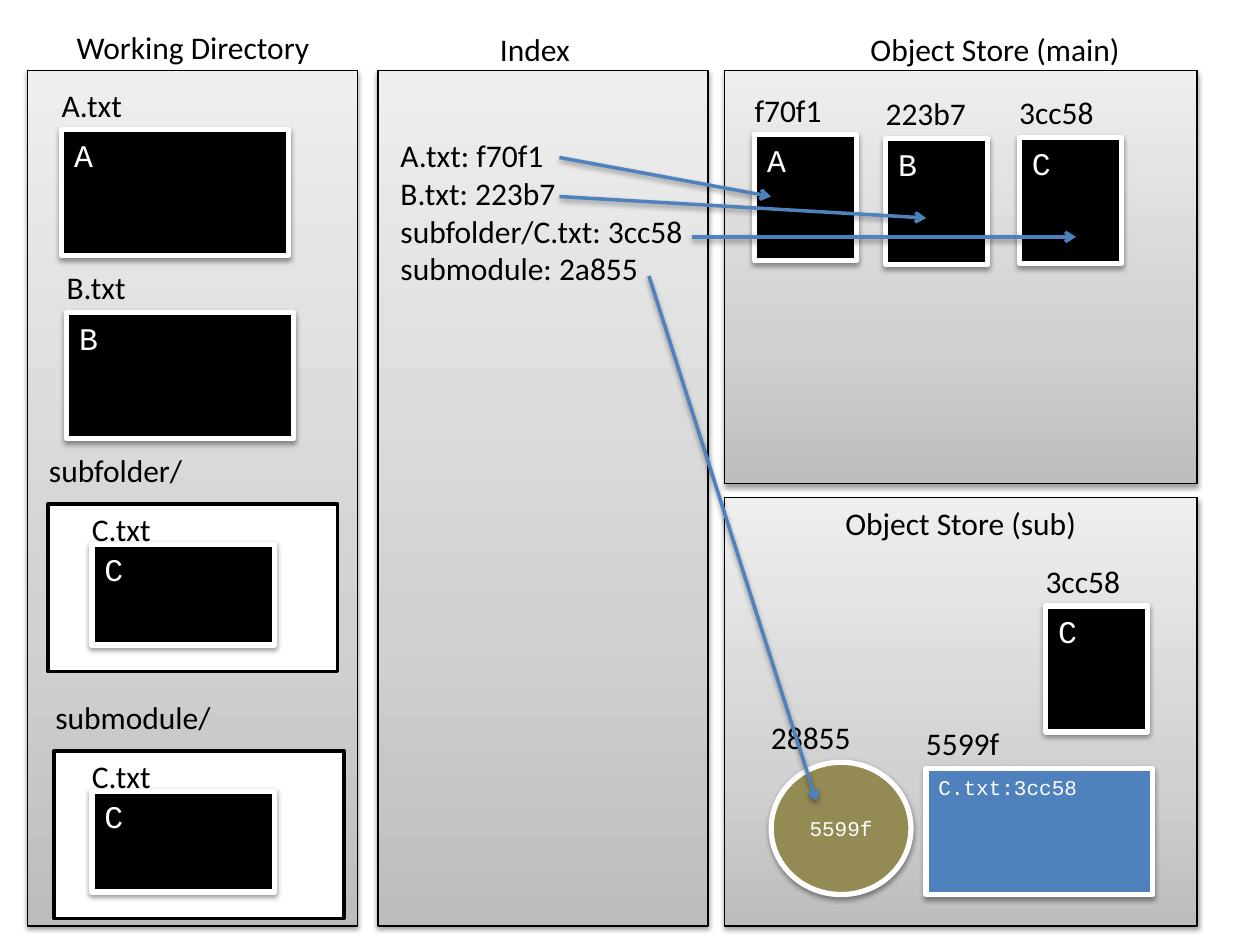
from copy import deepcopy

from lxml import etree
from pptx import Presentation
from pptx.dml.color import RGBColor
from pptx.enum.shapes import MSO_CONNECTOR, MSO_SHAPE
from pptx.enum.text import MSO_ANCHOR, PP_ALIGN
from pptx.oxml.ns import qn
from pptx.util import Inches, Pt

RECT, OVAL = MSO_SHAPE.RECTANGLE, MSO_SHAPE.OVAL
STRAIGHT = MSO_CONNECTOR.STRAIGHT
TOP, MIDDLE = MSO_ANCHOR.TOP, MSO_ANCHOR.MIDDLE
LEFT, CENTER = PP_ALIGN.LEFT, PP_ALIGN.CENTER
BLACK, WHITE, BLUE, OLIVE = "000000", "FFFFFF", "4F81BD", "948A54"
rgb = RGBColor.from_string


def add_text(sp, lines, size=18, font="Calibri", color=BLACK, align=LEFT, anchor=TOP, wrap=False):
    tf = sp.text_frame
    tf.word_wrap = wrap
    tf.vertical_anchor = anchor
    for i, line in enumerate(lines):
        p = tf.add_paragraph() if i else tf.paragraphs[0]
        p.alignment = align
        r = p.add_run()
        r.text = line
        r.font.size = Pt(size)
        r.font.name = font
        r.font.color.rgb = rgb(color)


def add_shadow(sp):
    effects = etree.SubElement(sp._element.spPr, qn("a:effectLst"))
    shadow = etree.SubElement(effects, qn("a:outerShdw"), blurRad=str(Pt(3.1)),
                              dist=str(Pt(1.6)), dir="5400000", rotWithShape="0")
    color = etree.SubElement(shadow, qn("a:srgbClr"), val=BLACK)
    etree.SubElement(color, qn("a:alpha"), val="38000")


prs = Presentation()
prs.slide_width, prs.slide_height = Inches(10), Inches(7.5)
s = prs.slides.add_slide(prs.slide_layouts[6])

panels = [
    (0.22, 0.56, 2.62, 6.79, ""),
    (3, 0.56, 2.62, 6.79, ""),
    (5.75, 0.56, 3.75, 3.28, ""),
    (5.75, 3.95, 3.75, 3.4, "Object Store (sub)"),
]
for x, y, w, h, title in panels:
    sp = s.shapes.add_shape(RECT, Inches(x), Inches(y), Inches(w), Inches(h))
    sp.fill.gradient()
    sp.fill.gradient_angle = 90
    stops = sp._element.spPr.find(".//" + qn("a:gsLst"))
    stops.insert(1, deepcopy(stops[0]))
    for stop, (position, color) in zip(sp.fill.gradient_stops,
                                       [(0, "BDBDBD"), (0.35, "D1D1D1"), (1, "EEEEEE")]):
        stop.position = position
        stop.color.rgb = rgb(color)
    sp.line.color.rgb = rgb(BLACK)
    sp.line.width = Pt(0.75)
    add_shadow(sp)
    if title:
        add_text(sp, [title], align=CENTER, wrap=True)

labels = [
    (0.51, 0.17, 2.08, "Working Directory"),
    (3.87, 0.19, 0.77, "Index"),
    (6.81, 0.19, 2.21, "Object Store (main)"),
]

folders = [(0.38, 4, 1.28, "subfolder/"), (0.43, 5.96, 1.45, "submodule/")]
for x, y, label_w, name in folders:
    sp = s.shapes.add_shape(RECT, Inches(x), Inches(y), Inches(2.3), Inches(1.33))
    sp.shadow.inherit = False
    sp.fill.solid()
    sp.fill.fore_color.rgb = rgb(WHITE)
    sp.line.color.rgb = rgb(BLACK)
    sp.line.width = Pt(2)
    labels.append((x - 0.09, y - 0.47, label_w, name))

objects = [
    (RECT, 0.49, 1.03, 1.8, 1, BLACK, "A", 18, "A.txt", 0.69, 0.4),
    (RECT, 0.53, 2.48, 1.8, 1, BLACK, "B", 18, "B.txt", 0.68, 0.4),
    (RECT, 0.73, 4.32, 1.45, 0.8, BLACK, "C", 18, "C.txt", 0.68, 0.32),
    (RECT, 0.73, 6.28, 1.45, 0.8, BLACK, "C", 18, "C.txt", 0.68, 0.32),
    (RECT, 5.99, 1.07, 0.81, 1, BLACK, "A", 18, "f70f1", 0.74, 0.4),
    (RECT, 7.03, 1.1, 0.81, 1, BLACK, "B", 18, "223b7", 0.85, 0.4),
    (RECT, 8.09, 1.09, 0.81, 1, BLACK, "C", 18, "3cc58", 0.8, 0.4),
    (RECT, 8.3, 4.81, 0.81, 1, BLACK, "C", 18, "3cc58", 0.8, 0.4),
    (OVAL, 6.12, 6.05, 1.11, 1.05, OLIVE, "5599f", 12, "28855", 0.84, 0.4),
    (RECT, 7.35, 6.1, 1.8, 1, BLUE, "C.txt:3cc58", 12, "5599f", 0.79, 0.4),
]
for kind, x, y, w, h, color, content, size, name, label_w, rise in objects:
    sp = s.shapes.add_shape(kind, Inches(x), Inches(y), Inches(w), Inches(h))
    sp.fill.solid()
    sp.fill.fore_color.rgb = rgb(color)
    sp.line.color.rgb = rgb(WHITE)
    sp.line.width = Pt(3)
    add_shadow(sp)
    align, anchor = (CENTER, MIDDLE) if kind == OVAL else (LEFT, TOP)
    add_text(sp, [content], size, "Courier New", WHITE, align, anchor, True)
    labels.append((x - 0.1, y - rise, label_w, name))

for x, y, w, text in labels:
    sp = s.shapes.add_textbox(Inches(x), Inches(y), Inches(w), Inches(0.4))
    add_text(sp, [text])

sp = s.shapes.add_textbox(Inches(3.08), Inches(1.03), Inches(2.55), Inches(1.31))
add_text(sp, ["A.txt: f70f1", "B.txt: 223b7", "subfolder/C.txt: 3cc58", "submodule: 2a855"], wrap=True)

arrows = [
    (4.44, 1.25, 6.12, 1.56),
    (4.44, 1.56, 7.35, 1.73),
    (5.49, 1.88, 8.54, 1.88),
    (5.15, 2.19, 6.48, 6.36),
]
for ends in arrows:
    sp = s.shapes.add_connector(STRAIGHT, *[Inches(v) for v in ends])
    sp.line.color.rgb = rgb(BLUE)
    sp.line.width = Pt(2)
    etree.SubElement(sp.line._get_or_add_ln(), qn("a:tailEnd"), type="arrow")
    add_shadow(sp)

prs.save("out.pptx")
